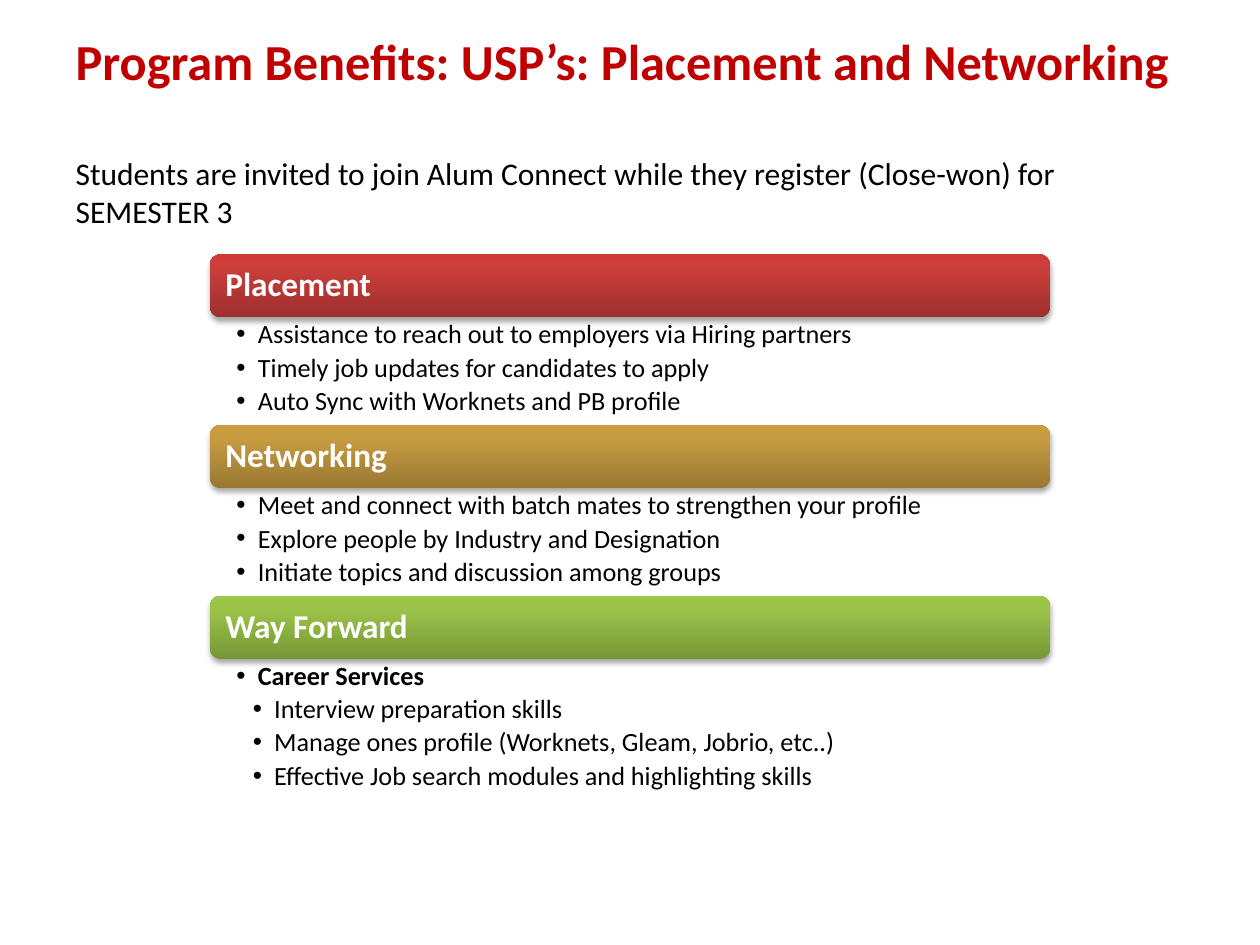
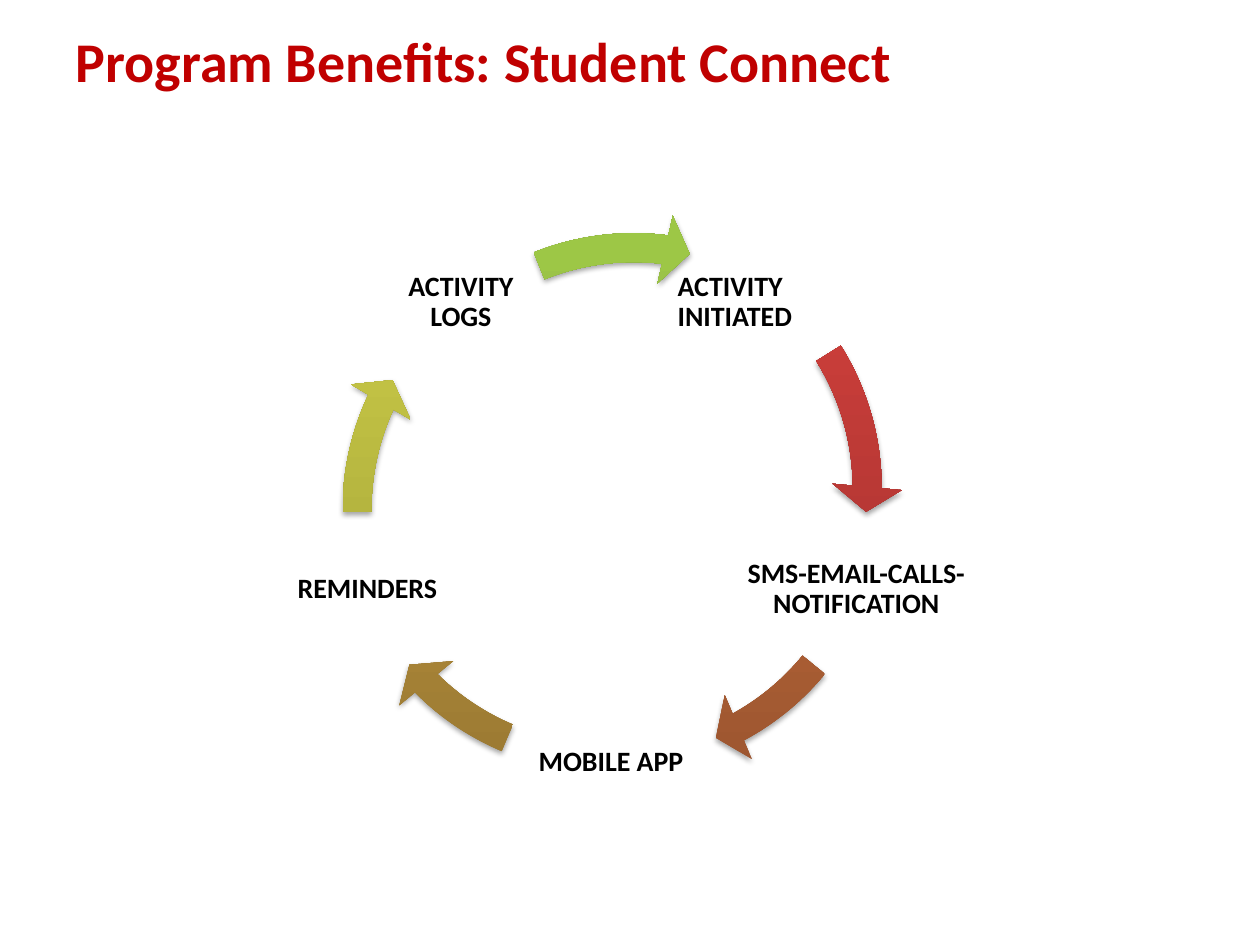
"""Build two program benefit slides: banded lists and an activity cycle."""
from copy import deepcopy

from lxml.etree import SubElement
from pptx import Presentation
from pptx.dml.color import RGBColor
from pptx.enum.shapes import MSO_SHAPE as Shape
from pptx.enum.text import MSO_ANCHOR as Anchor, MSO_AUTO_SIZE as AutoSize, PP_ALIGN as Align
from pptx.oxml.ns import qn
from pptx.util import Inches, Pt

FONT = "Calibri"
COLORS = {"title": "C00000", "text": "000000", "band_text": "FFFFFF", "shadow": "000000"}
GRADIENTS = {
    "red": ("9C2F2D", "CB3E3A", "CE3B37"),
    "orange": ("9B552F", "C96E3D", "CD6E3B"),
    "gold": ("997832", "C79C41", "CB9D3F"),
    "olive": ("989835", "C5C545", "C8C942"),
    "green": ("779737", "9BC348", "9DC746"),
}
STOPS = (0, 0.8, 1)

presentation = Presentation()
presentation.slide_width, presentation.slide_height = Inches(10), Inches(7.5)
COLUMN = presentation.slide_width / 12
ROW = presentation.slide_height / 15


def box(column, row, columns, rows):
    return [round(length) for length in (column * COLUMN, row * ROW, columns * COLUMN, rows * ROW)]


def write(shape, text, size, color, bold=False, align=Align.LEFT, anchor=Anchor.MIDDLE,
          insets=(0.1, 0.05, 0.1, 0.05), spacing=1.0, after=0):
    frame = shape.text_frame
    frame.text = text
    frame.word_wrap = True
    frame.auto_size = AutoSize.NONE
    frame.vertical_anchor = anchor
    frame.margin_left, frame.margin_top, frame.margin_right, frame.margin_bottom = map(Inches, insets)
    for paragraph in frame.paragraphs:
        paragraph.alignment = align
        paragraph.line_spacing = spacing
        paragraph.space_before, paragraph.space_after = Pt(0), Pt(after)
        for run in paragraph.runs:
            run.font.name, run.font.size, run.font.bold = FONT, Pt(size), bold
            run.font.color.rgb = RGBColor.from_string(COLORS[color])


benefits = presentation.slides.add_slide(presentation.slide_layouts.get_by_name("Comparison"))
connect = presentation.slides.add_slide(presentation.slide_layouts.get_by_name("Title Only"))
titles = [
    (benefits, "Program Benefits: USP’s: Placement and Networking", 28.8),
    (connect, "Program Benefits: Student Connect", 32),
]
for slide, text, size in titles:
    title = slide.shapes.title
    title.left, title.top, title.width, title.height = box(0.6, 0.26, 10.8, 1.4)
    write(title, text, size, "title", bold=True)

intro, *list_bodies = [shape for shape in benefits.placeholders if 1 <= shape.placeholder_format.idx <= 4]
intro.left, intro.top, intro.width, intro.height = box(0.6, 2.34, 10.4, 1.42)
write(intro, "Students are invited to join Alum Connect while they register (Close-won) for SEMESTER 3",
      18, "text", anchor=Anchor.TOP)

sections = [
    ("Placement", "red", [
        ("Assistance to reach out to employers via Hiring partners", 0, False),
        ("Timely job updates for candidates to apply", 0, False),
        ("Auto Sync with Worknets and PB profile", 0, False),
    ]),
    ("Networking", "gold", [
        ("Meet and connect with batch mates to strengthen your profile", 0, False),
        ("Explore people by Industry and Designation", 0, False),
        ("Initiate topics and discussion among groups", 0, False),
    ]),
    ("Way Forward", "green", [
        ("Career Services", 0, True),
        ("Interview preparation skills", 1, False),
        ("Manage ones profile (Worknets, Gleam, Jobrio, etc..)", 1, False),
        ("Effective Job search modules and highlighting skills", 1, False),
    ]),
]
gradient_shapes = []
for index, ((heading, gradient, items), body) in enumerate(zip(sections, list_bodies)):
    band_row = 4.04 + 2.71 * index
    band = benefits.shapes.add_shape(Shape.ROUNDED_RECTANGLE, *box(2, band_row, 8, 1))
    write(band, heading, 19, "band_text", bold=True, spacing=0.9)
    gradient_shapes.append((band, gradient))

    body.left, body.top, body.width, body.height = box(2, band_row + 1, 8, 0.57 * len(items))
    write(body, "\n".join(item[0] for item in items), 15, "text", anchor=Anchor.TOP,
          insets=(0.21, 0.03, 0.15, 0.03), spacing=0.9, after=2.8)
    for paragraph, (_, level, bold) in zip(body.text_frame.paragraphs, items):
        paragraph.level = level
        paragraph.runs[0].font.bold = bold
        properties = paragraph._p.get_or_add_pPr()
        properties.set("marL", str(Inches(0.17 + 0.13 * level)))
        properties.set("indent", str(-Inches(0.17)))
        SubElement(properties, qn("a:buFont"), typeface="Arial")
        SubElement(properties, qn("a:buChar"), char="•")

steps = [
    ("ACTIVITY INITIATED", (6.43, 4, 2.06, 1.6), Align.LEFT, "red", (3.08, 3.16), 328, 359.7),
    ("SMS-EMAIL-CALLS-NOTIFICATION", (7.08, 8.14, 2.15, 2.44), Align.CENTER, "orange", (3.12, 3.4), 39.35, 61.5),
    ("MOBILE APP", (4.82, 10.88, 2, 2.44), Align.CENTER, "gold", (3.02, 3.4), 112.9, 135.05),
    ("REMINDERS", (2.77, 8.14, 1.46, 2.44), Align.CENTER, "olive", (3.07, 3.5), 179.5, 205),
    ("ACTIVITY LOGS", (3.66, 3.58, 1.46, 2.44), Align.CENTER, "green", (3.28, 3.38), 248.2, 277.1),
]
ANGLE_UNIT = 0.6
for text, label_box, align, gradient, corner, start, end in steps:
    label = connect.shapes.add_textbox(*box(*label_box))
    write(label, text, 16, "text", bold=True, align=align, insets=(0.02,) * 4, spacing=0.9)
    arrow = connect.shapes.add_shape(Shape.CIRCULAR_ARROW, *box(*corner, 5.51, 9.18))
    adjustments = (0.05, 5.6 * ANGLE_UNIT, end * ANGLE_UNIT, start * ANGLE_UNIT, 0.06)
    for index, value in enumerate(adjustments):
        arrow.adjustments[index] = value
    gradient_shapes.append((arrow, gradient))

for shape, gradient in gradient_shapes:
    shape.line.fill.background()
    shape.fill.gradient()
    shape.fill.gradient_angle = 90
    properties = shape._element.spPr
    stop_list = properties.find(".//" + qn("a:gsLst"))
    stop_list.append(deepcopy(stop_list[-1]))
    for stop, position, color in zip(shape.fill.gradient_stops, STOPS, GRADIENTS[gradient]):
        stop.position = position
        stop.color.rgb = RGBColor.from_string(color)
    shape.shadow.inherit = False
    shadow = SubElement(properties.find(qn("a:effectLst")), qn("a:outerShdw"), blurRad=str(Pt(3.1)),
                        dist=str(Pt(1.8)), dir="5400000", rotWithShape="0")
    shadow_color = SubElement(shadow, qn("a:srgbClr"), val=COLORS["shadow"])
    SubElement(shadow_color, qn("a:alpha"), val="35000")

presentation.save("out.pptx")
